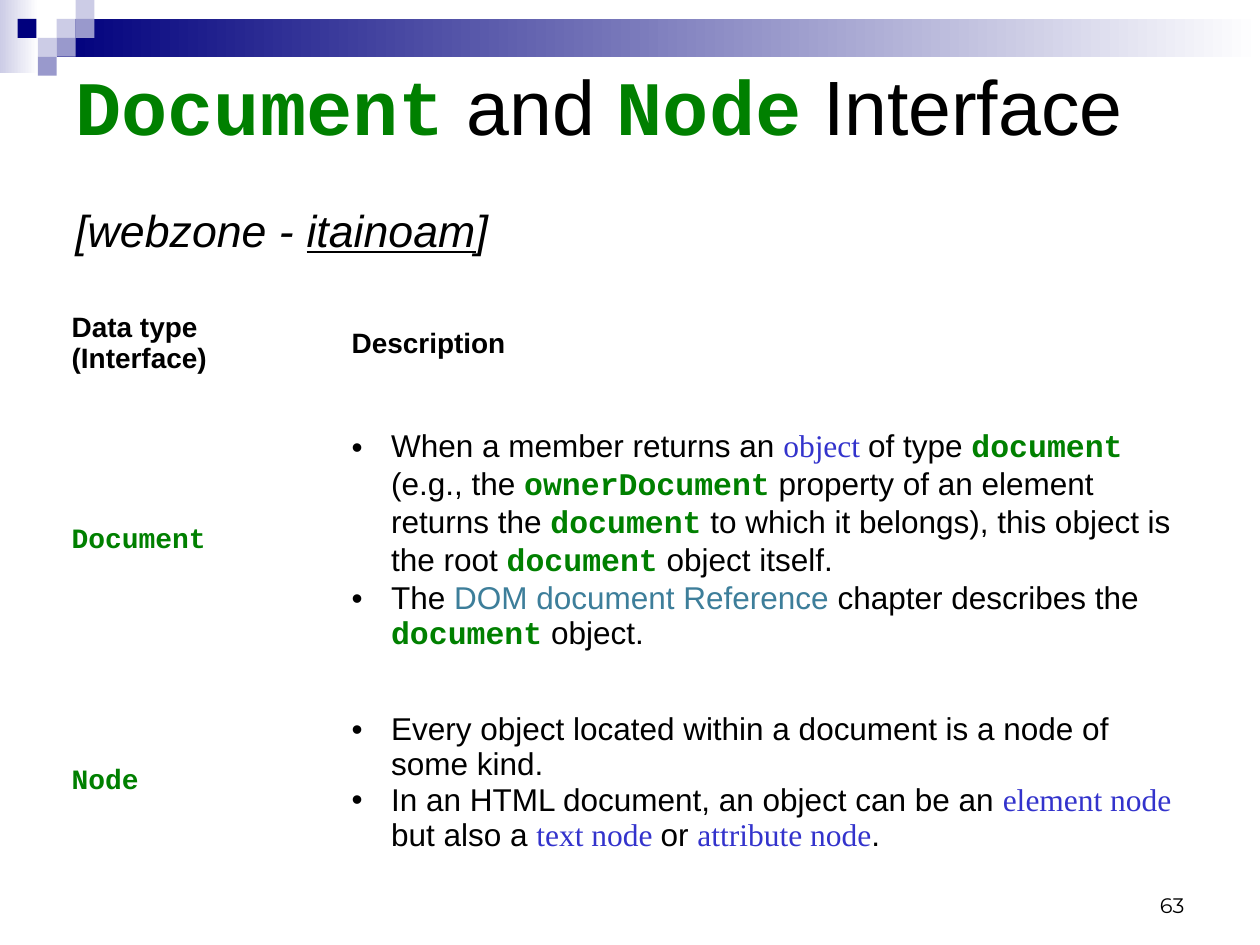
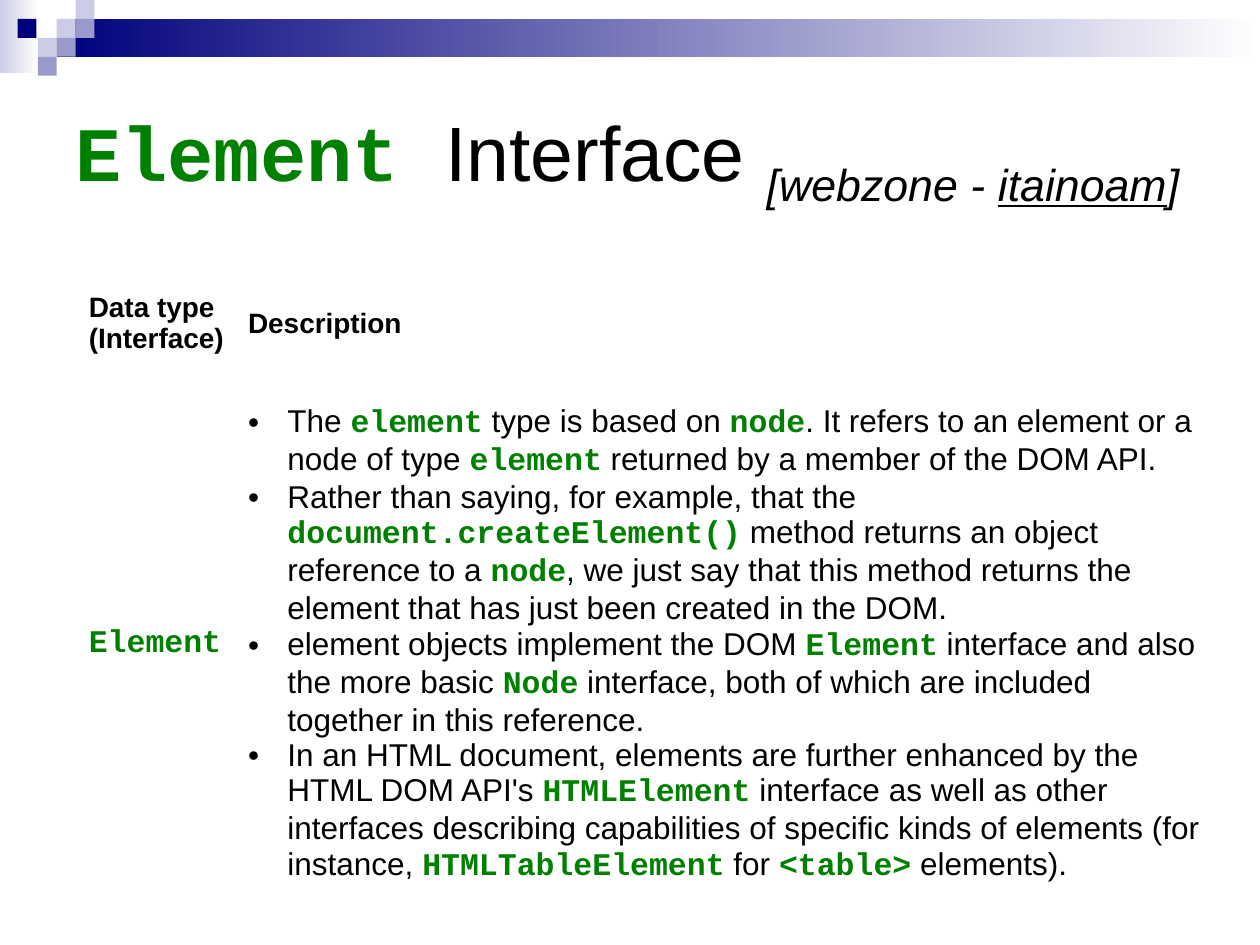
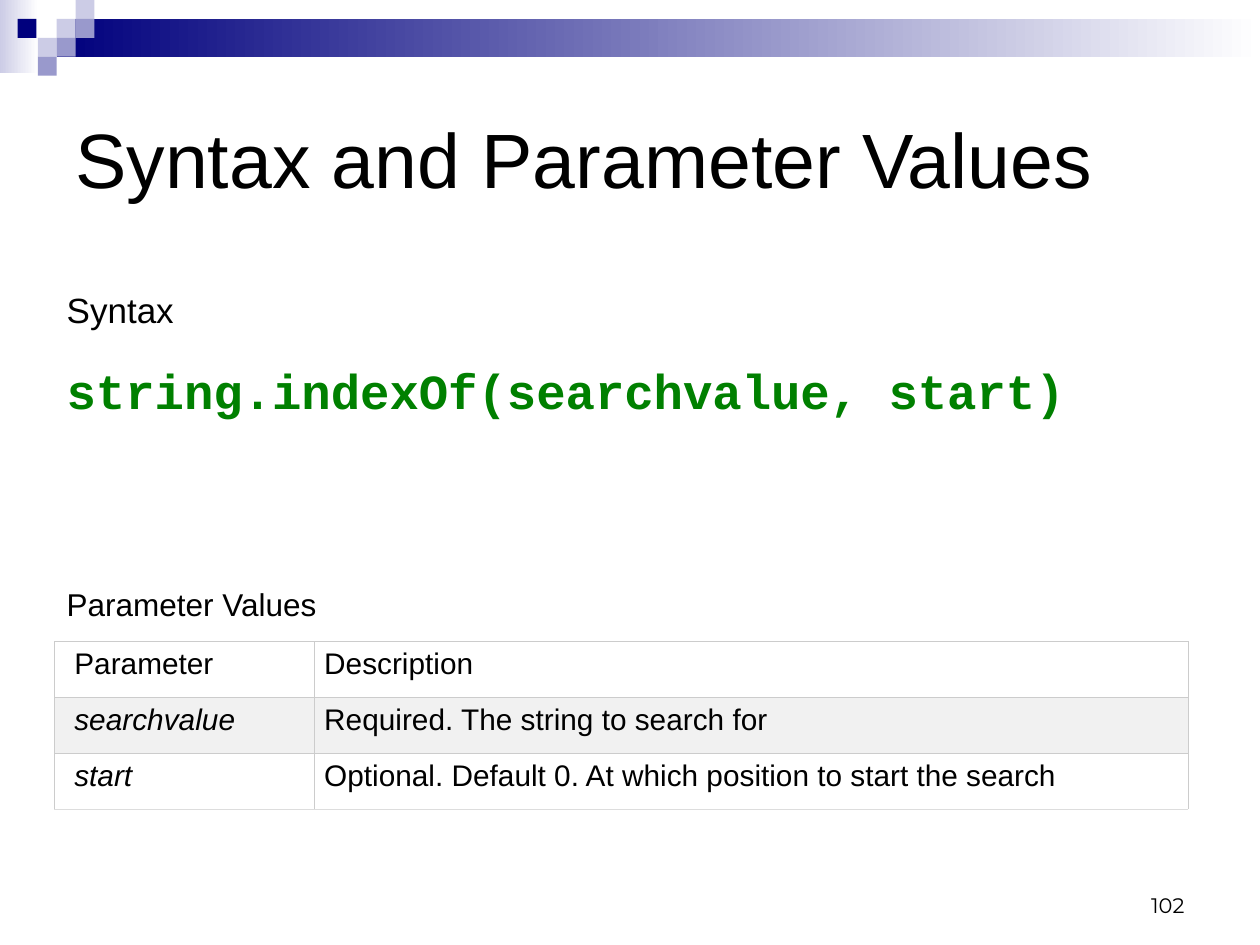
from dataclasses import dataclass, replace
from typing import Optional

from lxml.etree import SubElement
from pptx import Presentation
from pptx.dml.color import RGBColor
from pptx.enum.shapes import MSO_SHAPE
from pptx.enum.text import MSO_ANCHOR, PP_ALIGN
from pptx.oxml.ns import qn
from pptx.util import Pt


@dataclass(frozen=True)
class Theme:
    black: str = "000000"
    white: str = "FFFFFF"
    navy: str = "00007D"
    lilac: str = "CCCCE6"
    violet: str = "9999CC"
    green: str = "008000"
    blue: str = "3333CC"
    teal: str = "3D7E9A"
    stripe: str = "F1F1F1"
    grid: str = "CCCCCC"
    grid_end: str = "DDDDDD"
    sans: str = "Arial"
    mono: str = "Courier New"
    serif: str = "Times New Roman"
    number_font: str = "Montserrat"
    title: float = 44
    syntax: float = 28
    label: float = 20
    body: float = 18
    cell: float = 17
    head: float = 16
    number: float = 12
    indent: float = 22.5


T = Theme()


@dataclass(frozen=True)
class Run:
    text: str
    size: float = T.body
    font: str = T.sans
    color: str = T.black
    bold: bool = False
    italic: bool = False
    underline: bool = False
    baseline: int = 0


@dataclass(frozen=True)
class Box:
    left: float
    top: float
    width: float
    height: float


@dataclass(frozen=True)
class Block:
    box: Box
    color: str
    fade_to: Optional[str] = None


@dataclass(frozen=True)
class Cell:
    paragraphs: list[list[Run]]
    bulleted: bool = False


@dataclass(frozen=True)
class Grid:
    left: float
    top: float
    columns: list[float]
    rows: list[float]
    cells: list[list[Cell]]
    margins: list[float]
    right_margin: float
    anchor: MSO_ANCHOR = MSO_ANCHOR.MIDDLE
    border: str = T.white
    last_border: str = T.white
    border_width: float = 0.75
    stripe: str = T.white


def code(text: str, size: float = T.body) -> Run:
    return Run(text, size, T.mono, T.green, bold=True)


def term(text: str) -> Run:
    return Run(text, font=T.serif, color=T.blue)


def heading(text: str) -> Run:
    return Run(text, T.title)


def single(run: Run) -> Cell:
    return Cell([[run]])


def bullets(*items: list[Run]) -> Cell:
    return Cell(list(items), bulleted=True)


UNIT = 10.8
SQUARES = [(3, 1, T.lilac), (4, 0, T.lilac), (4, 1, T.violet), (2, 2, T.lilac),
           (0.93, 1, T.navy), (3, 2, T.violet), (2, 3, T.violet)]
BAND = [
    Block(Box(0, 0, 22, 42), T.lilac, T.white),
    Block(Box(3 * UNIT, UNIT, 720 - 3 * UNIT, 2 * UNIT), T.navy, T.white),
    *(Block(Box(col * UNIT, row * UNIT, UNIT, UNIT), color) for col, row, color in SQUARES),
]
TITLE = Box(36, 36, 648, 108)
NUMBER = Box(516, 492, 168, 36)

note = Run("[webzone - ", T.title, italic=True, baseline=-25000)
SOURCE_NOTE = [note, replace(note, text="itainoam", underline=True), replace(note, text="]")]
HEAD_ROW = [single(Run(text, T.head, bold=True))
            for text in ("Data type (Interface)", "Description")]


def rgb(color: str) -> RGBColor:
    return RGBColor.from_string(color)


def add_run(p, run: Run) -> None:
    r = p.add_run()
    r.text = run.text
    f = r.font
    f.size, f.name = Pt(run.size), run.font
    f.bold, f.italic, f.underline = run.bold, run.italic, run.underline
    f.color.rgb = rgb(run.color)
    if run.baseline:
        r._r.get_or_add_rPr().set("baseline", str(run.baseline))


def add_bullet(p) -> None:
    pPr = p._p.get_or_add_pPr()
    pPr.set("marL", str(Pt(T.indent)))
    pPr.set("indent", str(-Pt(T.indent)))
    SubElement(SubElement(pPr, qn("a:buClr")), qn("a:srgbClr")).set("val", T.black)
    SubElement(pPr, qn("a:buFont")).set("typeface", T.sans)
    SubElement(pPr, qn("a:buChar")).set("char", "•")


def add_text(s, box: Box, runs: list[Run], anchor: MSO_ANCHOR = MSO_ANCHOR.TOP,
             align: PP_ALIGN = PP_ALIGN.LEFT) -> None:
    sp = s.shapes.add_textbox(Pt(box.left), Pt(box.top), Pt(box.width), Pt(box.height))
    tf = sp.text_frame
    tf.word_wrap = True
    tf.vertical_anchor = anchor
    p = tf.paragraphs[0]
    p.alignment = align
    for run in runs:
        add_run(p, run)


def add_block(s, block: Block) -> None:
    b = block.box
    sp = s.shapes.add_shape(MSO_SHAPE.RECTANGLE, Pt(b.left), Pt(b.top), Pt(b.width), Pt(b.height))
    sp.shadow.inherit = False
    sp.line.fill.background()
    if block.fade_to:
        sp.fill.gradient()
        sp.fill.gradient_angle = 0
        for stop, color in zip(sp.fill.gradient_stops, (block.color, block.fade_to)):
            stop.color.rgb = rgb(color)
    else:
        sp.fill.solid()
        sp.fill.fore_color.rgb = rgb(block.color)


def add_borders(cell, color: str, bottom: str, width: float) -> None:
    tcPr = cell._tc.get_or_add_tcPr()
    for i, side in enumerate(("lnL", "lnR", "lnT", "lnB")):
        ln = tcPr.makeelement(qn(f"a:{side}"), {"w": str(Pt(width))})
        fill = SubElement(ln, qn("a:solidFill"))
        SubElement(fill, qn("a:srgbClr")).set("val", bottom if side == "lnB" else color)
        tcPr.insert(i, ln)


def add_grid(s, g: Grid) -> None:
    table = s.shapes.add_table(len(g.rows), len(g.columns), Pt(g.left), Pt(g.top),
                               Pt(sum(g.columns)), Pt(sum(g.rows))).table
    table.first_row = table.horz_banding = False
    for column, width in zip(table.columns, g.columns):
        column.width = Pt(width)
    for i, (row, height) in enumerate(zip(table.rows, g.rows)):
        row.height = Pt(height)
        bottom = g.last_border if i == len(g.rows) - 1 else g.border
        for cell, content, margin in zip(row.cells, g.cells[i], g.margins):
            cell.margin_left, cell.margin_right = Pt(margin), Pt(g.right_margin)
            cell.vertical_anchor = g.anchor
            cell.fill.solid()
            cell.fill.fore_color.rgb = rgb(g.stripe if i % 2 else T.white)
            add_borders(cell, g.border, bottom, g.border_width)
            tf = cell.text_frame
            for j, runs in enumerate(content.paragraphs):
                p = tf.add_paragraph() if j else tf.paragraphs[0]
                if content.bulleted:
                    add_bullet(p)
                for run in runs:
                    add_run(p, run)


def add_slide(prs, title: list[Run], grid: Grid, number: str = ""):
    s = prs.slides.add_slide(prs.slide_layouts[6])
    for block in BAND:
        add_block(s, block)
    add_text(s, TITLE, title, MSO_ANCHOR.MIDDLE)
    add_grid(s, grid)
    if number:
        add_text(s, NUMBER, [Run(number, T.number, T.number_font)],
                 MSO_ANCHOR.BOTTOM, PP_ALIGN.RIGHT)
    return s


DOCUMENT_NODE = Grid(
    36, 173.5, [160, 488], [42.5, 180.5, 95],
    [
        HEAD_ROW,
        [single(code("Document", T.head)), bullets(
            [Run("When a member returns an "), term("object "), Run("of type "),
             code("document"), Run(" (e.g., the "), code("ownerDocument"),
             Run(" property of an element returns the "), code("document"),
             Run(" to which it belongs), this object is the root "), code("document"),
             Run(" object itself.")],
            [Run("The "), Run("DOM document Reference ", color=T.teal),
             Run("chapter describes the "), code("document"), Run(" object.")],
        )],
        [single(code("Node", T.head)), bullets(
            [Run("Every object located within a document is a node of some kind.")],
            [Run("In an HTML document, an object can be an "), term("element node "),
             Run("but also a "), term("text node "), Run("or "), term("attribute node"),
             Run(".")],
        )],
    ],
    margins=[5, 5], right_margin=5,
)

ELEMENT = Grid(
    48, 162, [91, 550], [40, 321],
    [
        HEAD_ROW,
        [single(code("Element")), bullets(
            [Run("The "), code("element"), Run(" type is based on "), code("node"),
             Run(". It refers to an element or a node of type "), code("element"),
             Run(" returned by a member of the DOM API.")],
            [Run("Rather than saying, for example, that the "),
             code("document.createElement()"),
             Run(" method returns an object reference to a "), code("node"),
             Run(", we just say that this method returns the element that has just "
                 "been created in the DOM. ")],
            [Run("element objects implement the DOM "), code("Element"),
             Run(" interface and also the more basic "), code("Node"),
             Run(" interface, both of which are included together in this reference.")],
            [Run("In an HTML document, elements are further enhanced by the HTML DOM API's "),
             code("HTMLElement"),
             Run(" interface as well as other interfaces describing capabilities of "
                 "specific kinds of elements (for instance, "),
             code("HTMLTableElement"), Run(" for "), code("<table>"), Run(" elements).")],
        )],
    ],
    margins=[2.8, 2.8], right_margin=2.8,
)

PARAMETERS = Grid(
    31, 366.5, [148.5, 499.5], [31.9] * 3,
    [[single(Run(name, T.cell, italic=i > 0)), single(Run(description, T.cell))]
     for i, (name, description) in enumerate([
         ("Parameter", "Description"),
         ("searchvalue", "Required. The string to search for"),
         ("start", "Optional. Default 0. At which position to start the search"),
     ])],
    margins=[11.5, 5.8], right_margin=5.8, anchor=MSO_ANCHOR.TOP,
    border=T.grid, last_border=T.grid_end, border_width=0.34, stripe=T.stripe,
)


def main() -> None:
    prs = Presentation()
    prs.slide_width, prs.slide_height = Pt(720), Pt(540)
    add_slide(prs, [code("Document", T.title), heading(" and "), code("Node", T.title),
                    heading(" Interface "), *SOURCE_NOTE], DOCUMENT_NODE, "63")
    add_slide(prs, [code("Element ", T.title), heading("Interface "), *SOURCE_NOTE], ELEMENT)
    s = add_slide(prs, [heading("Syntax and Parameter Values")], PARAMETERS, "102")
    add_text(s, Box(31, 331, 402.5, 29), [Run("Parameter Values")])
    add_text(s, Box(31, 161.5, 402.5, 31.5), [Run("Syntax", T.label)])
    add_text(s, Box(31, 202.5, 641, 41), [code("string.indexOf(searchvalue, start)", T.syntax)])
    prs.save("out.pptx")


if __name__ == "__main__":
    main()
